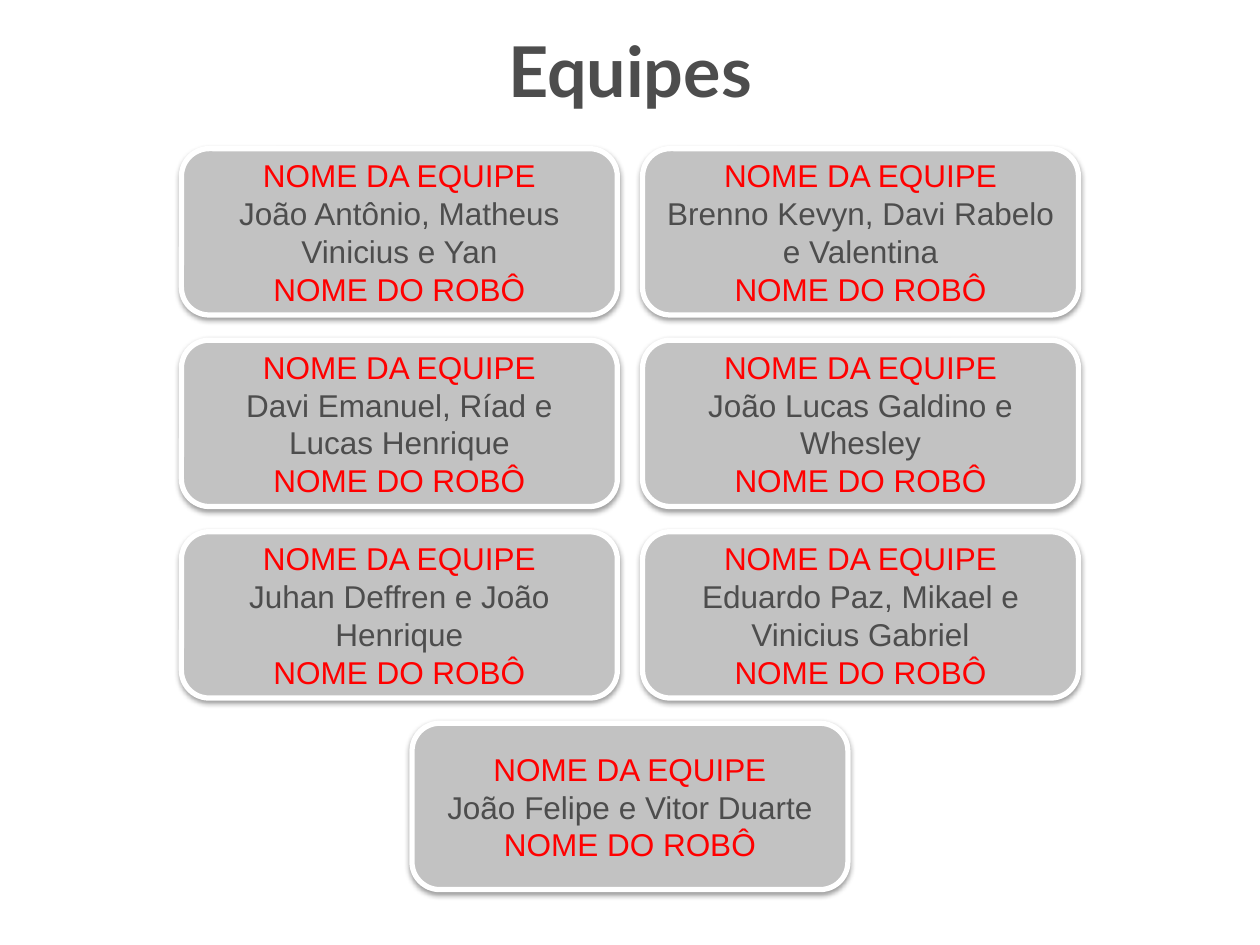
from dataclasses import dataclass

from lxml import etree
from pptx import Presentation
from pptx.dml.color import RGBColor
from pptx.enum.shapes import MSO_SHAPE
from pptx.enum.text import MSO_ANCHOR, PP_ALIGN
from pptx.oxml.ns import qn
from pptx.util import Inches, Pt

CARD_SHAPE = MSO_SHAPE.FLOWCHART_ALTERNATE_PROCESS
MIDDLE = MSO_ANCHOR.MIDDLE
CENTER = PP_ALIGN.CENTER


@dataclass(frozen=True)
class Theme:
    text: RGBColor = RGBColor(0x4D, 0x4D, 0x4D)
    accent: RGBColor = RGBColor(0xFF, 0x00, 0x00)
    card: RGBColor = RGBColor(0xC2, 0xC2, 0xC2)
    border: RGBColor = RGBColor(0xFF, 0xFF, 0xFF)
    title_font: str = "Lato"
    body_font: str = "Arial"
    title_size: Pt = Pt(40)
    body_size: Pt = Pt(18)


THEME = Theme()
TEAMS = [
    "João Antônio, Matheus Vinicius e Yan",
    "Brenno Kevyn, Davi Rabelo e Valentina",
    "Davi Emanuel, Ríad e Lucas Henrique",
    "João Lucas Galdino e Whesley",
    "Juhan Deffren e João Henrique",
    "Eduardo Paz, Mikael e Vinicius Gabriel",
    "João Felipe e Vitor Duarte",
]
COLUMNS = 2


def style_paragraph(p, text, font, size, color, bold=False):
    p.text = text
    p.alignment = CENTER
    p.font.name = font
    p.font.size = size
    p.font.color.rgb = color
    p.font.bold = bold


def add_shadow(sp):
    """Give the shape a soft shadow that falls straight down."""
    sp.shadow.inherit = False
    effects = sp._element.spPr.find(qn("a:effectLst"))
    shadow = etree.SubElement(
        effects, qn("a:outerShdw"), blurRad=str(Pt(3.1)), dist=str(Pt(1.6)),
        dir="5400000", rotWithShape="0")
    color = etree.SubElement(shadow, qn("a:srgbClr"), val="000000")
    etree.SubElement(color, qn("a:alpha"), val="38000")


def add_title(s, left, top, width, height):
    tf = s.shapes.add_textbox(left, top, width, height).text_frame
    tf.word_wrap = True
    tf.vertical_anchor = MIDDLE
    style_paragraph(tf.paragraphs[0], "Equipes", THEME.title_font,
                    THEME.title_size, THEME.text, bold=True)


def add_team_card(s, members, left, top, width, height):
    sp = s.shapes.add_shape(CARD_SHAPE, left, top, width, height)
    sp.fill.solid()
    sp.fill.fore_color.rgb = THEME.card
    sp.line.color.rgb = THEME.border
    sp.line.width = Pt(3)
    add_shadow(sp)

    tf = sp.text_frame
    tf.word_wrap = True
    tf.vertical_anchor = MIDDLE
    tf.margin_left = tf.margin_right = Inches(0.1)
    tf.margin_top = tf.margin_bottom = Inches(0.05)
    lines = [("NOME DA EQUIPE", THEME.accent), (members, THEME.text),
             ("NOME DO ROBÔ", THEME.accent)]
    for i, (text, color) in enumerate(lines):
        p = tf.add_paragraph() if i else tf.paragraphs[0]
        style_paragraph(p, text, THEME.body_font, THEME.body_size, color)


def add_team_grid(s, left, top, width, height):
    """Fill the box row by row, centring a row that is not full."""
    gap = Inches(0.2)
    rows = -(-len(TEAMS) // COLUMNS)
    card_w = (width - gap * (COLUMNS - 1)) // COLUMNS
    card_h = (height - gap * (rows - 1)) // rows
    for row in range(rows):
        teams = TEAMS[row * COLUMNS:(row + 1) * COLUMNS]
        indent = (COLUMNS - len(teams)) * (card_w + gap) // 2
        for col, members in enumerate(teams):
            add_team_card(s, members, left + indent + col * (card_w + gap),
                          top + row * (card_h + gap), card_w, card_h)


def main():
    prs = Presentation()
    prs.slide_width, prs.slide_height = Inches(10), Inches(7.5)
    s = prs.slides.add_slide(prs.slide_layouts[6])
    add_title(s, Inches(1.42), Inches(0.03), Inches(7.16), Inches(1.04))
    add_team_grid(s, Inches(1.44), Inches(1.18), Inches(7.12), Inches(5.88))
    prs.save("out.pptx")


if __name__ == "__main__":
    main()
